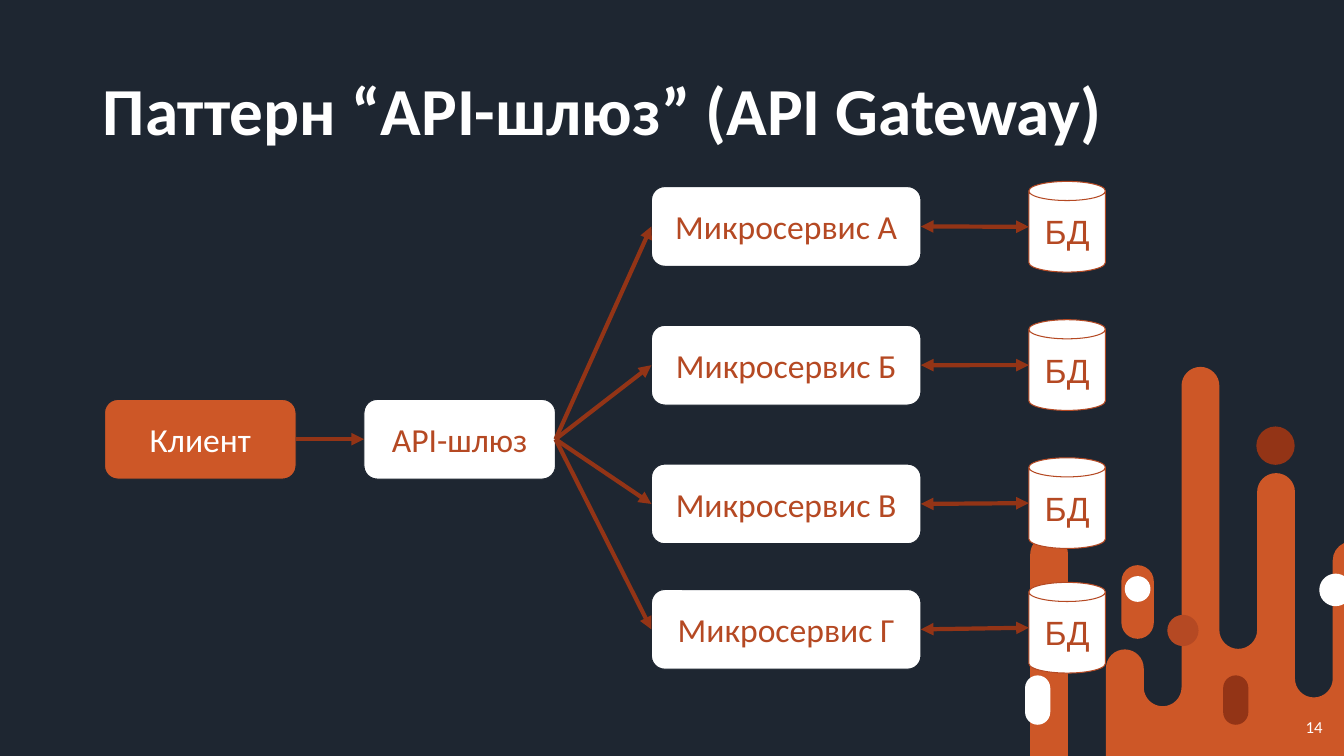
from math import acos, ceil, cos, degrees, radians, sin, tan

from lxml import etree
from pptx import Presentation
from pptx.dml.color import RGBColor
from pptx.enum.shapes import MSO_CONNECTOR, MSO_SHAPE
from pptx.enum.text import MSO_ANCHOR, PP_ALIGN
from pptx.oxml.ns import qn
from pptx.util import Pt

ROUNDED = MSO_SHAPE.ROUNDED_RECTANGLE
OVAL = MSO_SHAPE.OVAL
CAN = MSO_SHAPE.CAN
STRAIGHT = MSO_CONNECTOR.STRAIGHT
MIDDLE = MSO_ANCHOR.MIDDLE
LEFT, CENTER, RIGHT = PP_ALIGN.LEFT, PP_ALIGN.CENTER, PP_ALIGN.RIGHT

WIDTH, HEIGHT = 960, 540
COLORS = {
    "night": "1E2631",
    "orange": "CD5727",
    "rust": "B54923",
    "brown": "933416",
    "white": "FFFFFF",
}
# Connection sites
LEFT_SITE, RIGHT_SITE, CAN_LEFT_SITE = 1, 3, 2

# Name, top of the service, top of its database
SERVICES = [
    ("Микросервис А", 133.3, 129.6),
    ("Микросервис Б", 232.4, 228.4),
    ("Микросервис В", 331.5, 327),
    ("Микросервис Г", 421.1, 416),
]
DRIP_RADIUS = 13.5
DRIP_LEFT = 790
# Centre heights of the alternating rounded peaks and valleys
DRIP_LEVELS = [477.4, 491, 275.6, 450, 351.5, 484.7]


def rgb(name):
    return RGBColor.from_string(COLORS[name])


def paint(shape, fill, line=None):
    shape.shadow.inherit = False
    shape.fill.solid()
    shape.fill.fore_color.rgb = rgb(fill)
    if line:
        shape.line.color.rgb = rgb(line)
        shape.line.width = Pt(0.75)
    else:
        shape.line.fill.background()


def write(shape, text, color, size, align, font="Calibri", bold=False, inset=3.6):
    frame = shape.text_frame
    frame_format = {
        "word_wrap": True,
        "vertical_anchor": MIDDLE,
        "margin_left": Pt(7.2),
        "margin_right": Pt(7.2),
        "margin_top": Pt(inset),
        "margin_bottom": Pt(inset),
    }
    for name, value in frame_format.items():
        setattr(frame, name, value)
    paragraph = frame.paragraphs[0]
    paragraph.alignment = align
    run = paragraph.add_run()
    run.text = text
    for name, value in {"name": font, "size": Pt(size), "bold": bold}.items():
        setattr(run.font, name, value)
    run.font.color.rgb = rgb(color)
    return paragraph


def add_plain(slide, kind, box, fill, line=None):
    shape = slide.shapes.add_shape(kind, *map(Pt, box))
    paint(shape, fill, line)
    return shape


def add_node(slide, text, box, fill="white", color="rust"):
    shape = add_plain(slide, ROUNDED, box, fill, "night")
    write(shape, text, color, 24, CENTER, inset=7.2)
    return shape


def add_database(slide, top):
    shape = add_plain(slide, CAN, (734.9, top, 54.7, 64.8), "white", "rust")
    write(shape, "БД", "rust", 24, CENTER, font="Arial", inset=7.2)
    return shape


def add_arrow(slide, source, target, target_site=LEFT_SITE, two_way=False):
    """Link the right side of source to the left side of target."""
    arrow = slide.shapes.add_connector(STRAIGHT, 0, 0, 0, 0)
    arrow.begin_connect(source, RIGHT_SITE)
    arrow.end_connect(target, target_site)
    arrow.end_x = target.left
    arrow.end_y = target.top + target.height // 2
    arrow.line.color.rgb = rgb("brown")
    arrow.line.width = Pt(3)
    properties = arrow.element.spPr
    line = properties.find(qn("a:ln"))
    for end in ["headEnd", "tailEnd"] if two_way else ["tailEnd"]:
        etree.SubElement(line, qn(f"a:{end}"), type="triangle")
    etree.SubElement(properties, qn("a:effectLst"))


def arc(x, y, radius, start, end):
    """Start point, then Bézier triples; degrees count anticlockwise."""
    count = ceil(abs(end - start) / 90)
    step = radians(end - start) / count
    reach = 4 / 3 * tan(step / 4)

    def place(angle, pull=0):
        return (
            x + radius * (cos(angle) - pull * sin(angle)),
            y - radius * (sin(angle) + pull * cos(angle)),
        )

    angles = [radians(start) + step * i for i in range(count + 1)]
    curves = [
        (place(a, reach), place(b, -reach), place(b))
        for a, b in zip(angles, angles[1:])
    ]
    return [(place(angles[0]),)] + curves


def add_outline(slide, contours, fill):
    """Draw closed contours whose steps hold one point (line) or three (curve)."""
    builder = None
    for contour in contours:
        first, *rest = [(Pt(x), Pt(y)) for step in contour for x, y in step]
        if builder:
            builder.move_to(*first)
        else:
            builder = slide.shapes.build_freeform(*first)
        builder.add_line_segments(rest, close=True)
    shape = builder.convert_to_shape()
    paint(shape, fill)

    lines = shape.element.iter(qn("a:lnTo"))
    segments = iter(list(lines))
    for step in (step for contour in contours for step in contour[1:]):
        parts = [next(segments) for _ in step]
        if len(parts) == 3:
            curve = etree.Element(qn("a:cubicBezTo"))
            parts[0].addprevious(curve)
            for part in parts:
                curve.append(part[0])
                part.getparent().remove(part)


def add_drips(slide):
    wave = [((DRIP_LEFT, HEIGHT),)]
    for i, level in enumerate(DRIP_LEVELS):
        x = DRIP_LEFT + DRIP_RADIUS * (2 * i + 1)
        wave += arc(x, level, DRIP_RADIUS, 180, 360 if i % 2 else 0)
    x += 2 * DRIP_RADIUS
    edge_angle = degrees(acos((WIDTH - x) / DRIP_RADIUS))
    wave += arc(x, 400.3, DRIP_RADIUS, 180, edge_angle) + [((WIDTH, HEIGHT),)]
    column = arc(749.4, 396, DRIP_RADIUS, 180, 0)
    column += [((762.9, HEIGHT),), ((735.9, HEIGHT),)]
    add_outline(slide, [wave, column], "orange")

    drops = [
        (OVAL, (755.3, 341.3, 27.4, 27.4), "rust"),
        (ROUNDED, (897.4, 304.6, 27.4, 27.4), "brown"),
        (ROUNDED, (801, 403.7, 23.2, 52.6), "orange"),
        (OVAL, (833.8, 439.2, 22.3, 22.3), "rust"),
        (ROUNDED, (873.7, 482.4, 18, 35.3), "brown"),
        (ROUNDED, (732.2, 482.4, 18, 35.3), "white"),
        (OVAL, (803.4, 411.5, 18.4, 18.4), "white"),
    ]
    for kind, box, fill in drops:
        drop = add_plain(slide, kind, box, fill)
        if kind == ROUNDED:
            drop.adjustments[0] = 0.5

    radius = 11.6
    edge_angle = degrees(acos((WIDTH - 954) / radius))
    edge_drop = arc(954, 421.4, radius, edge_angle, 360 - edge_angle)
    add_outline(slide, [edge_drop], "white")


def add_title(slide, text):
    title = slide.shapes.title
    position = {"left": 66.2, "top": 28.8, "width": 828, "height": 104.4}
    for name, value in position.items():
        setattr(title, name, Pt(value))
    write(title, text, "white", 48, LEFT, bold=True).line_spacing = 0.9


def add_gateway_diagram(slide):
    client = add_node(slide, "Клиент", (74.7, 285.3, 136.8, 56.9), "orange", "white")
    gateway = add_node(slide, "API-шлюз", (260, 285.3, 136.8, 56.9))
    add_arrow(slide, client, gateway)
    for name, top, database_top in SERVICES:
        service = add_node(slide, name, (465.3, top, 192.5, 56.9))
        database = add_database(slide, database_top)
        add_arrow(slide, gateway, service)
        add_arrow(slide, service, database, CAN_LEFT_SITE, two_way=True)


def main():
    presentation = Presentation()
    presentation.slide_width = Pt(WIDTH)
    presentation.slide_height = Pt(HEIGHT)
    slide = presentation.slides.add_slide(presentation.slide_layouts[5])
    slide.background.fill.solid()
    slide.background.fill.fore_color.rgb = rgb("night")

    add_drips(slide)
    page_number = slide.shapes.add_textbox(Pt(735.8), Pt(504.7), Pt(216), Pt(28.8))
    write(page_number, "14", "white", 12, RIGHT)
    add_gateway_diagram(slide)
    add_title(slide, "Паттерн “API-шлюз” (API Gateway)")
    presentation.save("out.pptx")


if __name__ == "__main__":
    main()
